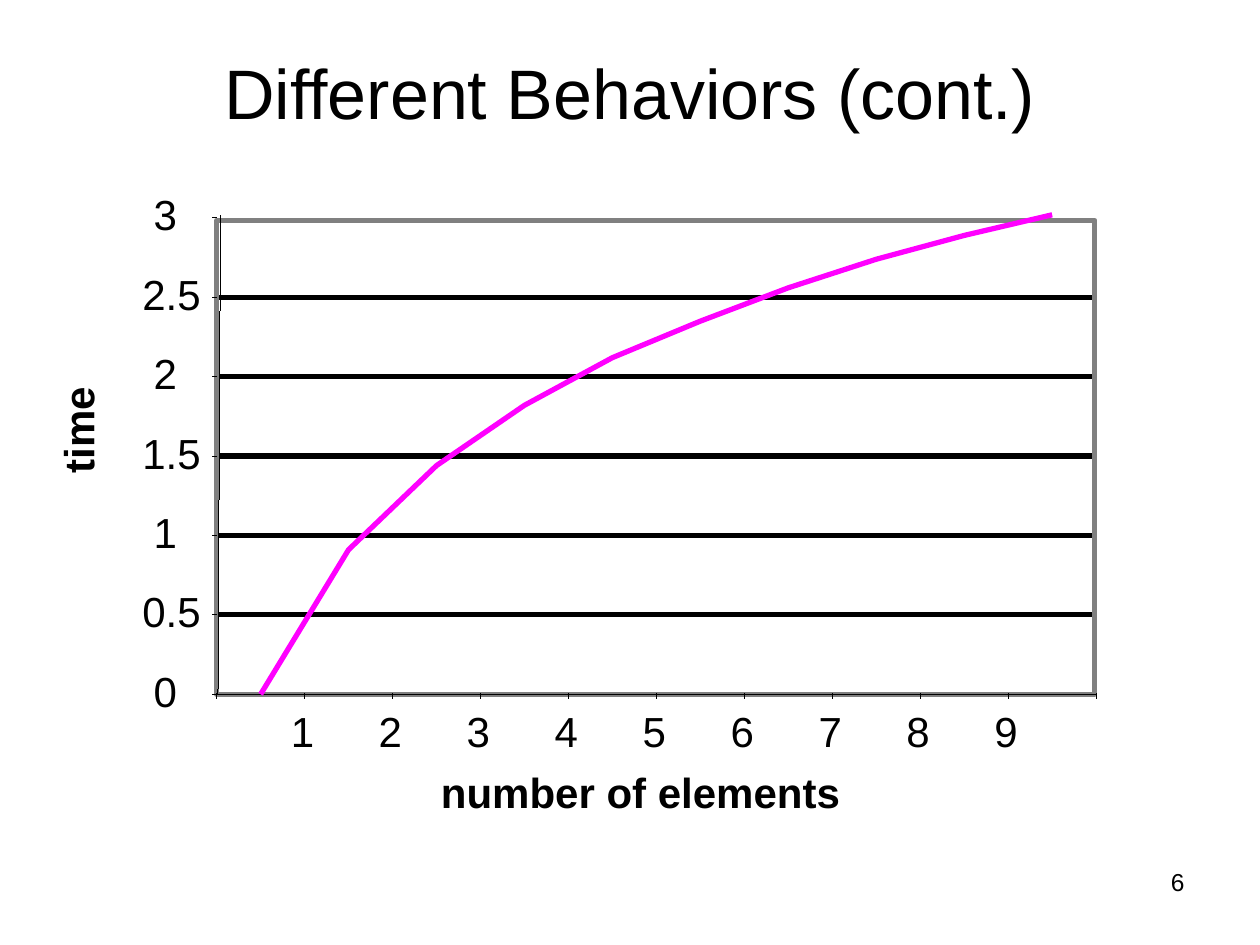
import pptx
import pptx.dml.color
import pptx.enum.shapes
import pptx.enum.text
import pptx.oxml
import pptx.util
from pptx.util import Inches

BLACK = pptx.dml.color.RGBColor(0, 0, 0)
GRAY = pptx.dml.color.RGBColor(0x80, 0x80, 0x80)
MAGENTA = pptx.dml.color.RGBColor(0xFF, 0, 0xFF)
ALIGN = pptx.enum.text.PP_ALIGN

LEFT, RIGHT, TOP, BOTTOM = 1.72, 8.7, 1.75, 5.51
COLUMNS, ROWS = 10, 6
COLUMN_WIDTH = (RIGHT - LEFT) / COLUMNS
ROW_HEIGHT = 0.63
ROW_VALUE = 0.5
HAIRLINE = 0.01
TIMES = [0, 0.91, 1.44, 1.82, 2.12, 2.35, 2.56, 2.74, 2.89, 3.02]


def column_x(index):
    return LEFT + index * COLUMN_WIDTH


def value_y(value):
    return BOTTOM - value / ROW_VALUE * ROW_HEIGHT


def add_line(page, start, end, width=HAIRLINE):
    line = page.shapes.add_connector(
        pptx.enum.shapes.MSO_CONNECTOR.STRAIGHT,
        *(Inches(length) for length in (*start, *end)))
    line.line.color.rgb = BLACK
    line.line.width = pptx.util.Pt(width)
    effects = pptx.oxml.parse_xml(
        '<a:effectLst xmlns:a="http://schemas.openxmlformats.org/drawingml/2006/main"/>')
    line._element.spPr.append(effects)


def style_outline(shape, color):
    shape.shadow.inherit = False
    shape.fill.background()
    shape.line.color.rgb = color
    shape.line.width = pptx.util.Pt(3)


def add_text(page, text, bounds, size, align=ALIGN.LEFT, bold=False):
    box = page.shapes.add_textbox(*(Inches(length) for length in bounds))
    frame = box.text_frame
    frame.word_wrap = True
    frame.text = text
    para = frame.paragraphs[0]
    para.alignment = align
    font = para.runs[0].font
    font.name = "Arial"
    font.size = pptx.util.Pt(size)
    font.bold = bold
    font.color.rgb = BLACK
    return box


def add_label(page, text, left, top, width, bold=False):
    box = add_text(page, text, (left, top, width, 0.4), 24, bold=bold)
    frame = box.text_frame
    frame.margin_left = frame.margin_right = 0
    frame.margin_top = frame.margin_bottom = 0
    frame.word_wrap = False
    frame.auto_size = pptx.enum.text.MSO_AUTO_SIZE.SHAPE_TO_FIT_TEXT
    return box


def add_plot_area(page):
    for row in range(1, ROWS):
        y = value_y(row * ROW_VALUE)
        add_line(page, (LEFT, y), (RIGHT, y), 3)
    border = page.shapes.add_shape(
        pptx.enum.shapes.MSO_SHAPE.RECTANGLE, Inches(LEFT), Inches(TOP),
        Inches(RIGHT - LEFT - 0.01), Inches(BOTTOM - TOP))
    style_outline(border, GRAY)


def add_axes(page):
    add_line(page, (1.75, 1.71), (1.73, BOTTOM))
    for row in range(ROWS + 1):
        y = value_y(row * ROW_VALUE)
        add_line(page, (LEFT - 0.03, y), (LEFT, y))
    add_line(page, (LEFT, BOTTOM), (RIGHT, BOTTOM))
    for column in range(COLUMNS + 1):
        x = column_x(column)
        add_line(page, (x, BOTTOM + 0.03), (x, BOTTOM - 0.01))


def add_curve(page):
    points = [(Inches(column_x(index + 0.5)), Inches(value_y(time)))
              for index, time in enumerate(TIMES)]
    builder = page.shapes.build_freeform(*points[0])
    builder.add_line_segments(points[1:], close=False)
    style_outline(builder.convert_to_shape(), MAGENTA)


def add_axis_labels(page):
    for row in range(ROWS + 1):
        value = row * ROW_VALUE
        left, width = (1.13, 0.48) if row % 2 else (1.22, 0.19)
        add_label(page, f"{value:g}", left, value_y(value) - 0.23, width)
    for column in range(1, COLUMNS):
        add_label(page, str(column), column_x(column) - 0.11, 5.6, 0.19)
    add_label(page, "number of elements", 3.5, 6.08, 3.17, bold=True)
    add_label(page, "time", 0.27, 3.21, 0.69, bold=True).rotation = 270


def main():
    """Build the slide with a hand-drawn growth curve and save it."""
    deck = pptx.Presentation()
    deck.slide_width, deck.slide_height = Inches(10), Inches(7.5)
    page = deck.slides.add_slide(deck.slide_layouts[6])
    title = add_text(page, "Different Behaviors (cont.)", (0.5, 0.25, 9, 0.95),
                     40, ALIGN.CENTER)
    title.text_frame.vertical_anchor = pptx.enum.text.MSO_ANCHOR.MIDDLE
    add_plot_area(page)
    add_axes(page)
    add_curve(page)
    add_axis_labels(page)
    add_text(page, "6", (7.17, 6.83, 2.33, 0.52), 14, ALIGN.RIGHT)
    deck.save("out.pptx")


if __name__ == "__main__":
    main()
